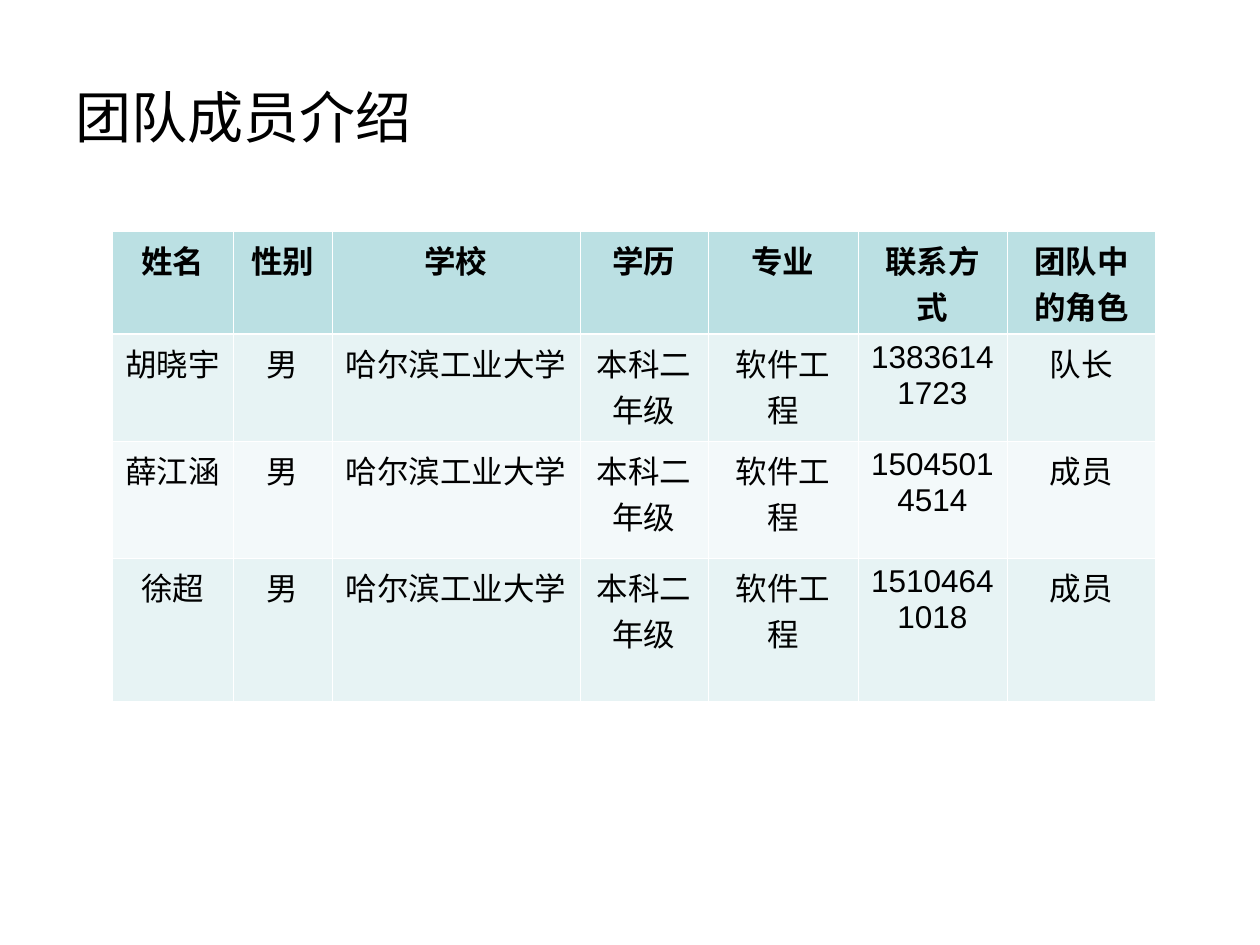
"""Build the team member introduction slide."""
from lxml import etree
from pptx import Presentation
from pptx import util as u
from pptx.dml.color import RGBColor
from pptx.enum import text
from pptx.oxml.ns import qn

TITLE = "团队成员介绍"
HEADER = ("姓名", "性别", "学校", "学历", "专业", "联系方式", "团队中的角色")
SHARED = ("男", "哈尔滨工业大学", "本科二年级", "软件工程")
MEMBERS = [
    ("胡晓宇", *SHARED, "13836141723", "队长"),
    ("薛江涵", *SHARED, "15045014514", "成员"),
    ("徐超", *SHARED, "15104641018", "成员"),
]
COLUMNS = (121, 99, 248, 128, 150, 149, 149)
ROWS = (103, 107, 117, 143)
TITLE_BOX = (63, 38, 1134, 157)
TABLE_AT = (112, 231)

BLACK = RGBColor(0, 0, 0)
WHITE = RGBColor(255, 255, 255)
HEADER_FILL = RGBColor(0xBB, 0xE0, 0xE3)
BANDS = (RGBColor(0xE7, 0xF3, 0xF4), RGBColor(0xF3, 0xF9, 0xFA))
LATIN, CJK = "Arial", "Noto Sans CJK SC"
THIN, THICK = 0.45, 1.47


def px(n):
    return u.Emu(n * u.Inches(1) // 126)


def style(p, size, name, bold=False):
    font = p.font
    font.size, font.name, font.bold = u.Pt(size), name, bold
    font.color.rgb = BLACK
    for r in p.runs:
        etree.SubElement(r._r.get_or_add_rPr(), qn("a:ea"), typeface=CJK)


def border(cell, widths):
    tcPr = cell._tc.get_or_add_tcPr()
    for i, (side, width) in enumerate(widths.items()):
        ln = etree.Element(qn(f"a:ln{side}"), w=str(u.Pt(width)))
        fill = etree.SubElement(ln, qn("a:solidFill"))
        etree.SubElement(fill, qn("a:srgbClr"), val=str(WHITE))
        tcPr.insert(i, ln)


def add_title(slide):
    tf = slide.shapes.add_textbox(*map(px, TITLE_BOX)).text_frame
    tf.word_wrap = True
    tf.vertical_anchor = text.MSO_ANCHOR.MIDDLE
    tf.text = TITLE
    style(tf.paragraphs[0], 32, CJK)


def add_members(slide):
    size = (sum(COLUMNS), sum(ROWS))
    table = slide.shapes.add_table(
        len(ROWS), len(COLUMNS), *map(px, TABLE_AT + size)).table
    for column, width in zip(table.columns, COLUMNS):
        column.width = px(width)
    for i, (height, values) in enumerate(zip(ROWS, [HEADER, *MEMBERS])):
        table.rows[i].height = px(height)
        for j, value in enumerate(values):
            cell = table.cell(i, j)
            cell.text = value
            cell.fill.solid()
            cell.fill.fore_color.rgb = BANDS[(i - 1) % 2] if i else HEADER_FILL
            border(cell, {"L": THIN, "R": THIN,
                          "T": THICK if i == 1 else THIN,
                          "B": THICK if i == 0 else THIN})
            p = cell.text_frame.paragraphs[0]
            p.alignment = text.PP_ALIGN.CENTER
            style(p, 18, LATIN, bold=i == 0)


def main():
    prs = Presentation()
    prs.slide_width, prs.slide_height = px(1260), px(945)
    slide = prs.slides.add_slide(prs.slide_layouts[6])
    add_title(slide)
    add_members(slide)
    prs.save("out.pptx")


if __name__ == "__main__":
    main()
